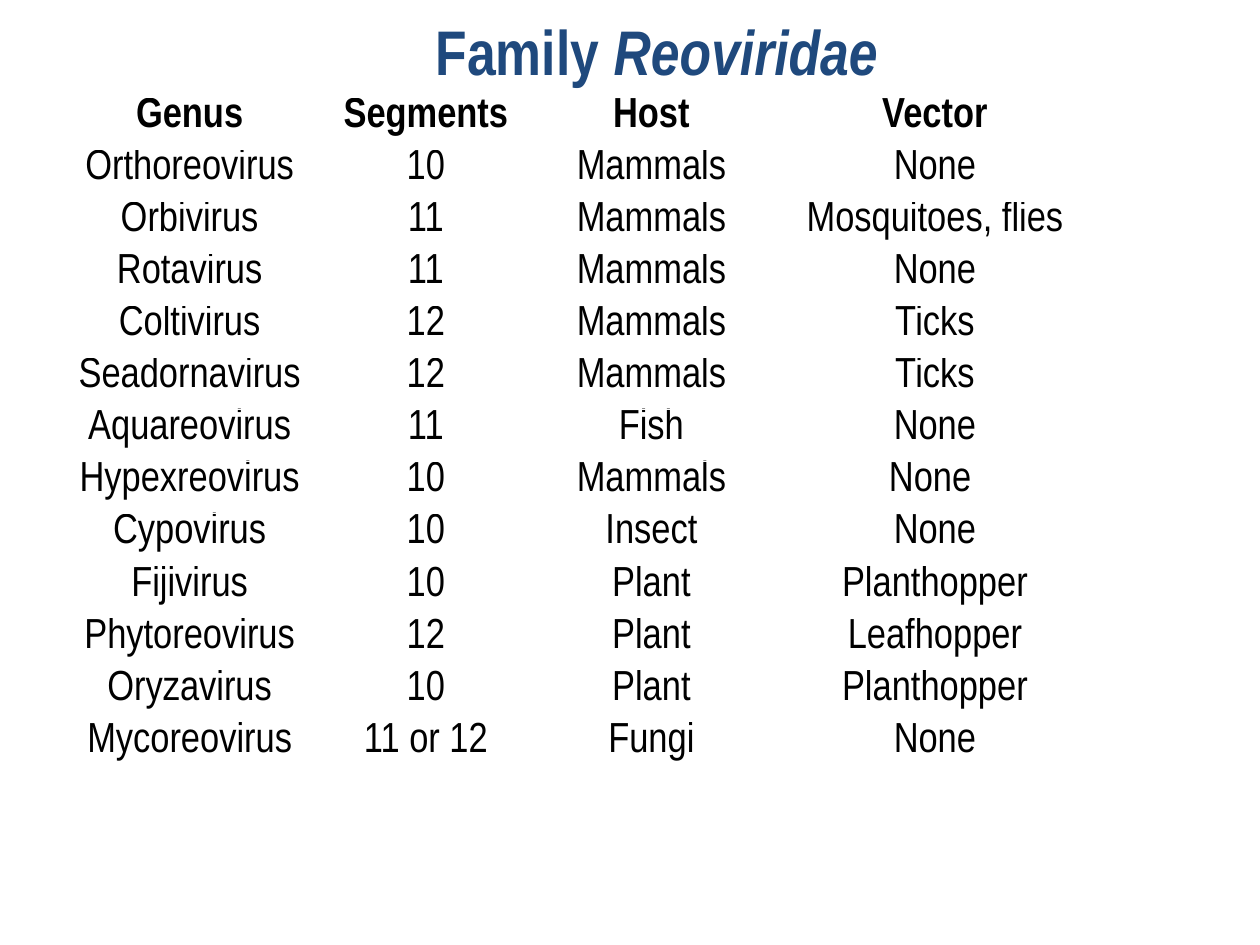
"""Build a slide with a table of the genera in the family Reoviridae."""
from lxml import etree
from pptx import Presentation
from pptx.dml.color import RGBColor
from pptx.enum.text import MSO_ANCHOR, MSO_AUTO_SIZE, PP_ALIGN
from pptx.oxml.ns import qn
from pptx.util import Inches, Pt

TOP = MSO_ANCHOR.TOP
FIT_SHAPE = MSO_AUTO_SIZE.SHAPE_TO_FIT_TEXT
CENTER = PP_ALIGN.CENTER
BLACK = RGBColor(0x00, 0x00, 0x00)
WHITE = RGBColor(0xFF, 0xFF, 0xFF)
NAVY = RGBColor(0x1F, 0x49, 0x7D)

TITLE = [("Family ", False), ("Reoviridae", True)]
ROWS = [
    ("Genus", "Segments", "Host", "Vector", ""),
    ("Orthoreovirus", "10", "Mammals", "None", ""),
    ("Orbivirus", "11", "Mammals", "Mosquitoes, flies", ""),
    ("Rotavirus", "11", "Mammals", "None", ""),
    ("Coltivirus", "12", "Mammals", "Ticks", ""),
    ("Seadornavirus", "12", "Mammals", "Ticks", ""),
    ("Aquareovirus", "11", "Fish", "None", ""),
    ("Hypexreovirus", "10", "Mammals", "None ", ""),
    ("Cypovirus", "10", "Insect", "None", ""),
    ("Fijivirus", "10", "Plant", "Planthopper", ""),
    ("Phytoreovirus", "12", "Plant", "Leafhopper", ""),
    ("Oryzavirus", "10", "Plant", "Planthopper", ""),
    ("Mycoreovirus", "11 or 12", "Fungi", "None", ""),
]
COLUMN_WIDTHS = [2.17, 1.58, 2, 2.5, 1.17]
TABLE_HEIGHT = 5.37
TITLE_FORMAT = {"name": "Arial Narrow", "size": Pt(36), "bold": True}
CELL_FORMAT = {"name": "Arial Narrow", "size": Pt(24)}
CELL_LAYOUT = {"margin_top": 0, "margin_bottom": 0, "vertical_anchor": TOP}
BORDER_SIDES = ("a:lnL", "a:lnR", "a:lnT", "a:lnB")


def add_run(paragraph, text, color, settings):
    run = paragraph.add_run()
    run.text = text
    for name, value in settings.items():
        setattr(run.font, name, value)
    run.font.color.rgb = color


def add_borders(cell, color):
    properties = cell._tc.get_or_add_tcPr()
    for position, side in enumerate(BORDER_SIDES):
        line = etree.Element(qn(side), w=str(Pt(1)))
        fill = etree.SubElement(line, qn("a:solidFill"))
        etree.SubElement(fill, qn("a:srgbClr"), val=str(color))
        properties.insert(position, line)


def add_genus_table(slide):
    frame = slide.shapes.add_table(
        len(ROWS), len(COLUMN_WIDTHS), Inches(0.42), Inches(0.77),
        Inches(sum(COLUMN_WIDTHS)), Inches(TABLE_HEIGHT))
    table = frame.table
    for column, width in zip(table.columns, COLUMN_WIDTHS):
        column.width = Inches(width)
    for row_index, texts in enumerate(ROWS):
        for column_index, text in enumerate(texts):
            cell = table.cell(row_index, column_index)
            for name, value in CELL_LAYOUT.items():
                setattr(cell, name, value)
            cell.fill.background()
            add_borders(cell, WHITE)
            paragraph = cell.text_frame.paragraphs[0]
            paragraph.alignment = CENTER
            if text:
                settings = {**CELL_FORMAT, "bold": row_index == 0}
                add_run(paragraph, text, BLACK, settings)


def add_title(slide):
    shape = slide.shapes.add_textbox(
        Inches(3.36), Inches(0.05), Inches(3.74), Inches(0.71))
    shape.text_frame.word_wrap = False
    shape.text_frame.auto_size = FIT_SHAPE
    paragraph = shape.text_frame.paragraphs[0]
    for text, italic in TITLE:
        add_run(paragraph, text, NAVY, {**TITLE_FORMAT, "italic": italic})


def main():
    presentation = Presentation()
    presentation.slide_width = Inches(10)
    presentation.slide_height = Inches(7.5)
    slide = presentation.slides.add_slide(presentation.slide_layouts[6])
    add_genus_table(slide)
    add_title(slide)
    presentation.save("out.pptx")


if __name__ == "__main__":
    main()
